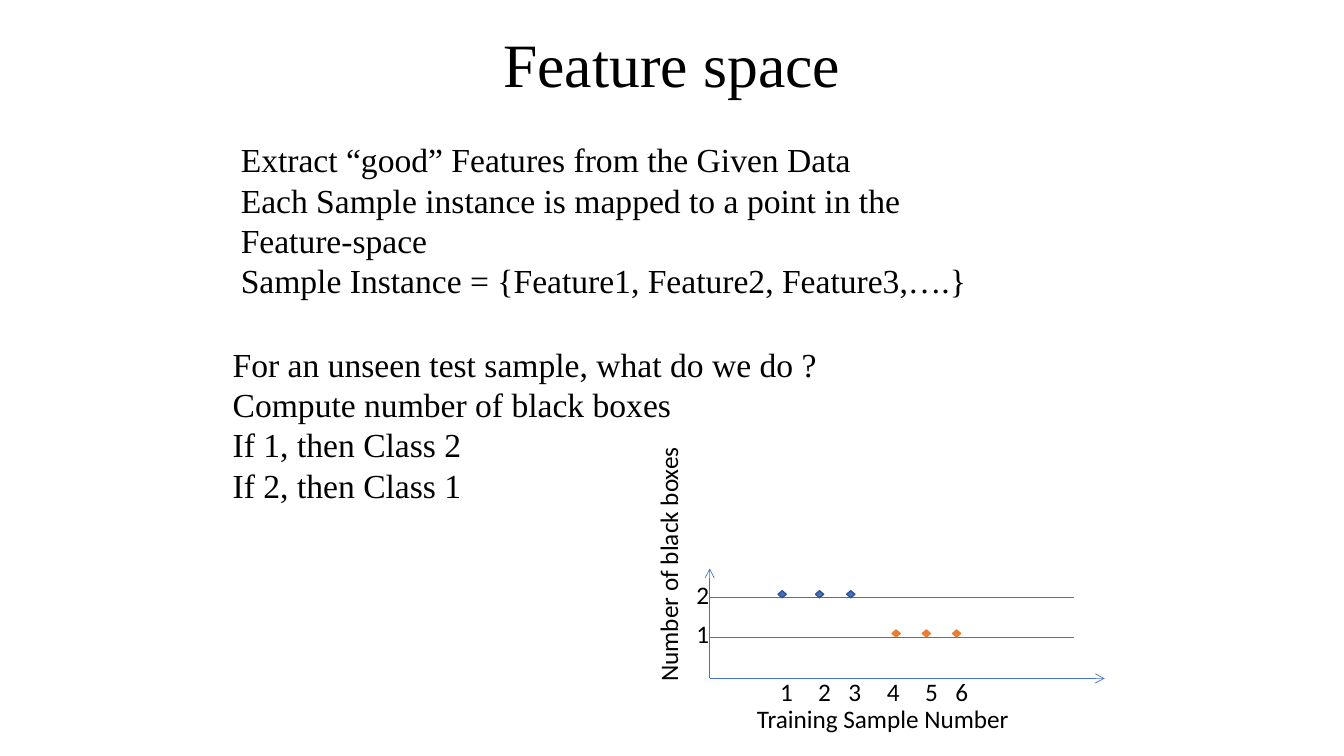
from dataclasses import dataclass

import pptx
import pptx.dml.color
import pptx.enum.shapes
import pptx.enum.text
import pptx.oxml
import pptx.oxml.ns
import pptx.util

Pt = pptx.util.Pt
SHAPE = pptx.enum.shapes.MSO_SHAPE
ALIGN = pptx.enum.text.PP_ALIGN
ANCHOR = pptx.enum.text.MSO_ANCHOR
SERIF, SANS = "Times New Roman", "Calibri"
BLUE, NAVY, ORANGE, BLACK = "4472C4", "325491", "ED7D31", "000000"


@dataclass
class Label:
    left: float
    top: float
    width: float
    height: float
    lines: list[str]
    size: float = 18
    font: str = SANS
    turn: float = 0
    align: ALIGN = ALIGN.LEFT
    anchor: ANCHOR = ANCHOR.TOP


@dataclass
class Line:
    x1: float
    y1: float
    x2: float
    y2: float
    arrow: bool = False


@dataclass
class Group:
    """Samples of one class, which share a count of black boxes."""
    count: int
    mids: list[float]
    kind: SHAPE
    fill: str
    edge: str


def color(code: str) -> pptx.dml.color.RGBColor:
    return pptx.dml.color.RGBColor.from_string(code)


def write(shapes, label: Label) -> None:
    box = shapes.add_textbox(Pt(label.left), Pt(label.top), Pt(label.width), Pt(label.height))
    box.rotation = label.turn
    frame = box.text_frame
    frame.word_wrap = True
    frame.vertical_anchor = label.anchor
    frame.text = "\n".join(label.lines)
    for para in frame.paragraphs:
        para.alignment = label.align
        para.font.size = Pt(label.size)
        para.font.name = label.font
        para.font.color.rgb = color(BLACK)


def rule(shapes, line: Line) -> None:
    link = shapes.add_connector(
        pptx.enum.shapes.MSO_CONNECTOR.STRAIGHT,
        Pt(line.x1), Pt(line.y1), Pt(line.x2), Pt(line.y2))
    link.line.color.rgb = color(BLUE)
    link.line.width = Pt(0.5)
    if line.arrow:
        tail = pptx.oxml.parse_xml(f'<a:tailEnd {pptx.oxml.ns.nsdecls("a")} type="arrow"/>')
        link.line._get_or_add_ln().append(tail)
    link._element.spPr.append(pptx.oxml.parse_xml(f'<a:effectLst {pptx.oxml.ns.nsdecls("a")}/>'))


def mark(shapes, group: Group, mid: float, top: float) -> None:
    dot = shapes.add_shape(group.kind, Pt(mid - 2.9), Pt(top), Pt(5.8), Pt(5))
    dot.shadow.inherit = False
    dot.fill.solid()
    dot.fill.fore_color.rgb = color(group.fill)
    dot.line.color.rgb = color(group.edge)
    dot.line.width = Pt(1)


LEFT, BASE = 506.9, 484.6
LEVELS = {1: 455, 2: 427}
DIGITS = [550.1, 577.4, 599, 626.4, 653.8, 675.4]
GROUPS = [
    Group(2, [558.7, 585.4, 607.7], SHAPE.FLOWCHART_DECISION, BLUE, NAVY),
    Group(1, [640.1, 661.7, 683.3], SHAPE.DIAMOND, ORANGE, ORANGE),
]
TEXTS = [
    Label(159.1, 241.9, 517.7, 123.8, [
        "For an unseen test sample, what do we do ?",
        "Compute number of black boxes",
        "If 1, then Class 2",
        "If 2, then Class 1",
    ], 24, SERIF),
    Label(164.9, 95.8, 562.3, 123.8, [
        "Extract “good” Features from the Given Data",
        "Each Sample instance is mapped to a point in the Feature-space",
        "Sample Instance = {Feature1, Feature2, Feature3,….}",
    ], 24, SERIF),
    Label(156, 0, 648, 90, ["Feature space"], 44, SERIF,
          align=ALIGN.CENTER, anchor=ANCHOR.MIDDLE),
]
NAMES = [
    Label(533.5, 499, 212.4, 28.8, ["Training Sample Number"]),
    Label(382.3, 384.5, 190.1, 28.8, ["Number of black boxes"], turn=270),
]


def plot(shapes) -> None:
    rule(shapes, Line(LEFT, BASE, 789.1, BASE, True))
    rule(shapes, Line(LEFT, BASE, LEFT, 406.1, True))
    for count, y in LEVELS.items():
        rule(shapes, Line(LEFT, y, 767.5, y))
        write(shapes, Label(490.3, y - 16.6, 16.6, 28.8, [str(count)]))
    for number, x in enumerate(DIGITS, 1):
        write(shapes, Label(x, 479.5, 16.6, 28.8, [str(number)]))
    for group in GROUPS:
        for mid in group.mids:
            mark(shapes, group, mid, LEVELS[group.count] - 5)
    for name in NAMES:
        write(shapes, name)


def main() -> None:
    deck = pptx.Presentation()
    deck.slide_width, deck.slide_height = Pt(960), Pt(540)
    slide = deck.slides.add_slide(deck.slide_layouts[6])
    for text in TEXTS:
        write(slide.shapes, text)
    plot(slide.shapes.add_group_shape().shapes)
    deck.save("out.pptx")


if __name__ == "__main__":
    main()
